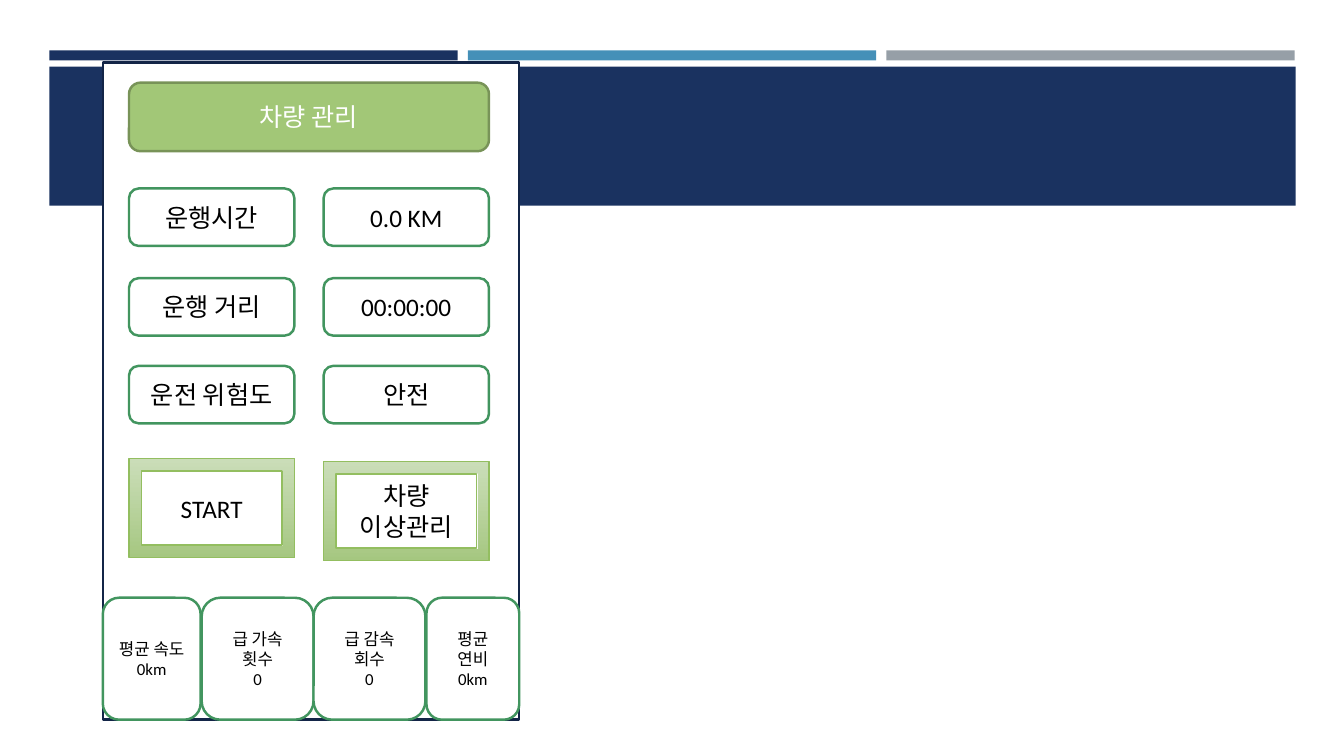
from lxml import etree
from pptx import Presentation
from pptx import util as u
from pptx.dml.color import RGBColor
from pptx.enum import shapes, text
from pptx.oxml import ns

NAVY, GREEN, BLACK, WHITE = "1A3260", "42955F", "000000", "FFFFFF"
KIND = shapes.MSO_SHAPE
ROUND, RECT, FRAME = KIND.ROUNDED_RECTANGLE, KIND.RECTANGLE, KIND.FRAME

bars = [NAVY, "4590B8", "969FA7"]
head = "차량 관리"
rows = [  # top, label, value
    (1.87, "운행시간", "0.0 KM"),
    (2.76, "운행 거리", "00:00:00"),
    (3.63, "운전 위험도", "안전"),
]
keys = [(4.55, "START"), (4.58, "차량 이상관리")]
stats = [  # left, width, lines
    (1.02, 0.97, ["평균 속도", "0km"]),
    (2.0, 1.11, ["급 가속 횟수", "0"]),
    (3.11, 1.11, ["급 감속 회수", "0"]),
    (4.23, 0.92, ["평균 연비", "0km"]),
]
cols = [1.28, 3.21]
CELL = 1.64
PHONE = (1.02, 0.62, 4.13, 6.52)

prs = Presentation()
prs.slide_width, prs.slide_height = u.Inches(13.33), u.Inches(7.5)
slide = prs.slides.add_slide(prs.slide_layouts[6])


def rgb(code):
    return RGBColor.from_string(code)


def box(kind, at, fill, line=None, weight=1.75, lines=(), size=18, ink=BLACK):
    """Draw one shape with centred text; no line colour means no outline."""
    shape = slide.shapes.add_shape(kind, *map(u.Inches, at))
    shape.shadow.inherit = False
    if fill:
        shape.fill.solid()
        shape.fill.fore_color.rgb = rgb(fill)
    if line:
        shape.line.color.rgb = rgb(line)
        shape.line.width = u.Pt(weight)
    else:
        shape.line.fill.background()
    frame = shape.text_frame
    frame.word_wrap = True
    frame.vertical_anchor = text.MSO_ANCHOR.MIDDLE
    for i, words in enumerate(lines):
        para = frame.add_paragraph() if i else frame.paragraphs[0]
        para.alignment = text.PP_ALIGN.CENTER
        run = para.add_run()
        run.text = words
        for name, value in {"name": "Calibri", "size": u.Pt(size)}.items():
            setattr(run.font, name, value)
        run.font.color.rgb = rgb(ink)
    return shape


def shade(shape):
    """Fill from pale to deep green, top to bottom."""
    shape.fill.gradient()
    shape.fill.gradient_angle = 270
    for stop, code in zip(shape.fill.gradient_stops, ["C6DBB2", "A6C881"]):
        stop.color.rgb = rgb(code)
    pale = shape.fill._fill._gradFill.find(".//" + ns.qn("a:srgbClr"))
    etree.SubElement(pale, ns.qn("a:alpha"), val="90000")


for i, hue in enumerate(bars):
    box(RECT, (0.49 + 4.15 * i, 0.5, 4.05, 0.1), hue)
box(RECT, (0.49, 0.66, 12.36, 1.38), NAVY)
box(RECT, PHONE, WHITE, "132547")
box(ROUND, (cols[0], 0.82, 3.57, 0.68), "A2C777", "789358",
    lines=[head], ink=WHITE)

for top, *pair in rows:
    for left, words in zip(cols, pair):
        box(ROUND, (left, top, CELL, 0.57), WHITE, GREEN, lines=[words])

for left, (top, words) in zip(cols, keys):
    shade(box(FRAME, (left, top, CELL, 0.98), None, "93BE60", 1, [words]))

for left, width, lines in stats:
    box(ROUND, (left, 5.93, width, 1.21), WHITE, GREEN, lines=lines, size=12)

prs.save("out.pptx")
